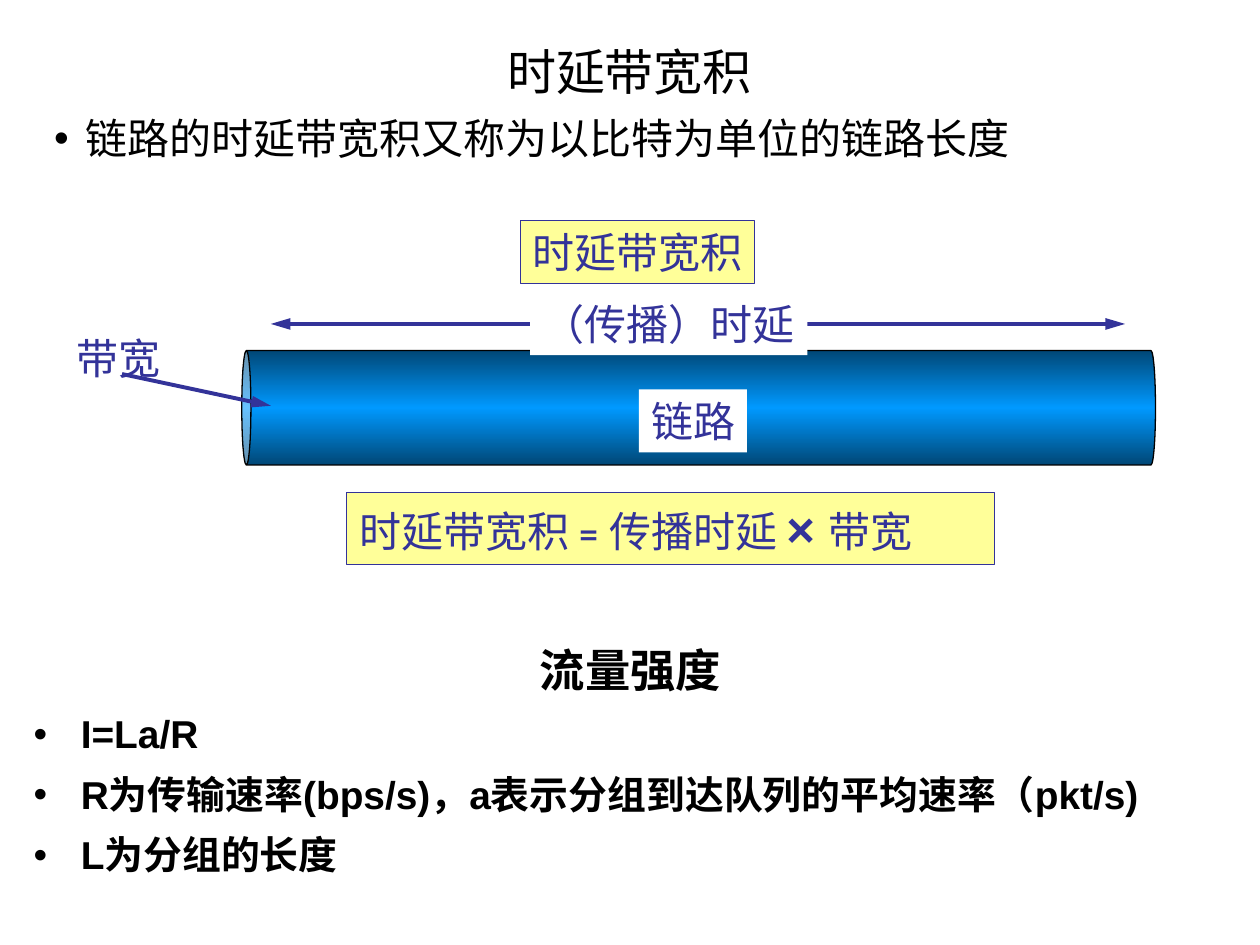
import copy
import pptx
import pptx.util
import pptx.dml.color
import pptx.enum.shapes
import pptx.enum.text
from lxml import etree

Cm = pptx.util.Cm
Pt = pptx.util.Pt
RGBColor = pptx.dml.color.RGBColor
BLACK = RGBColor(0x00, 0x00, 0x00)
WHITE = RGBColor(0xFF, 0xFF, 0xFF)
INDIGO = RGBColor(0x33, 0x33, 0x99)
YELLOW = RGBColor(0xFF, 0xFF, 0x99)
DARK = RGBColor(0x00, 0x47, 0x76)
BRIGHT = RGBColor(0x00, 0x99, 0xFF)
NS = "{http://schemas.openxmlformats.org/drawingml/2006/main}"

deck = pptx.Presentation()
deck.slide_width, deck.slide_height = Cm(25.4), Cm(19.05)
slide = deck.slides.add_slide(deck.slide_layouts[6])
shapes = slide.shapes


def style(font, name, size, color, bold=False):
    font.name, font.size, font.bold = name, Pt(size), bold
    font.color.rgb = color


def label(text, left, top, width, height, fill, edge):
    box = shapes.add_textbox(Cm(left), Cm(top), Cm(width), Cm(height))
    box.fill.solid()
    box.fill.fore_color.rgb = fill
    if edge:
        box.line.color.rgb = INDIGO
        box.line.width = Pt(0.75)
    frame = box.text_frame
    frame.word_wrap = True
    frame.auto_size = pptx.enum.text.MSO_AUTO_SIZE.NONE
    frame.margin_right = 0  # spare room keeps each label on one line
    frame.text = text
    style(frame.paragraphs[0].font, "Cabin", 24, INDIGO)
    return frame


# Text blocks: a centred heading, then bullets
blocks = [
    ((0.84, 0.84, 23.7, 2.97), "Calibri", False, 0.64, 0.9, 10, 28, 24,
     ["时延带宽积", "链路的时延带宽积又称为以比特为单位的链路长度"]),
    ((0.43, 12.9, 24.56, 5.72), "Arial", True, 0.95, 0.95, 9, 25.9, 22.2,
     ["流量强度", "I=La/R",
      "R为传输速率(bps/s)，a表示分组到达队列的平均速率（pkt/s)",
      "L为分组的长度"]),
]
for place, face, bold, indent, pitch, gap, big, small, lines in blocks:
    frame = shapes.add_textbox(*map(Cm, place)).text_frame
    frame.word_wrap = True
    for i, text in enumerate(lines):
        para = frame.paragraphs[0] if i == 0 else frame.add_paragraph()
        para.text = text
        para.line_spacing = pitch
        if i == 0:
            para.alignment = pptx.enum.text.PP_ALIGN.CENTER
        else:
            para.space_before = Pt(gap)
            props = para._p.get_or_add_pPr()
            props.set("marL", str(Cm(indent)))
            props.set("indent", str(-Cm(indent)))
            etree.SubElement(props, NS + "buFont", typeface="Arial")
            etree.SubElement(props, NS + "buChar", char="•")
        style(para.font, face, small if i else big, BLACK, bold)

# Link pipe, a can lying on its side
pipe = shapes.add_shape(pptx.enum.shapes.MSO_SHAPE.CAN,
                        Cm(12.93), Cm(-0.99), Cm(2.31), Cm(18.42))
pipe.rotation = 270
pipe.adjustments[0] = 0.08
pipe.shadow.inherit = False
pipe.line.color.rgb = BLACK
pipe.line.width = Pt(0.75)
pipe.fill.gradient()
pipe.fill.gradient_angle = 0
stops = pipe.fill._fill._gradFill.gsLst
stops.insert(1, copy.deepcopy(stops[0]))
for stop, spot, color in zip(pipe.fill.gradient_stops, (0, 0.5, 1),
                             (DARK, BRIGHT, DARK)):
    stop.position = spot
    stop.color.rgb = color

# Labels, with the arrows drawn between them
label("带宽", 1.3, 6.58, 2.18, 1.27, WHITE, False)
arrows = [((5.46, 6.53, 22.68, 6.53), ("headEnd", "tailEnd")),
          ((2.46, 7.54, 5.46, 8.18), ("tailEnd",))]
for ends, tips in arrows:
    arrow = shapes.add_connector(pptx.enum.shapes.MSO_CONNECTOR.STRAIGHT,
                                 *map(Cm, ends))
    arrow.line.color.rgb = INDIGO
    arrow.line.width = Pt(2.25)
    for tip in tips:
        etree.SubElement(arrow.line._get_or_add_ln(), NS + tip,
                         type="triangle", w="med", len="lg")
    etree.SubElement(arrow._element.spPr, NS + "effectLst")
label("（传播）时延", 10.69, 5.89, 5.59, 1.27, WHITE, False)
label("链路", 12.88, 7.85, 2.18, 1.27, WHITE, False)
label("时延带宽积", 10.49, 4.45, 4.72, 1.27, YELLOW, True)

# Formula, with a heavier times sign
rule = label("时延带宽积 = 传播时延 ", 6.99, 9.93, 13.06, 1.45, YELLOW, True)
para = rule.paragraphs[0]
times = para.add_run()
times.text = "× "
style(times.font, "Arial", 28, INDIGO, True)
para.add_run().text = "带宽"

deck.save("out.pptx")
